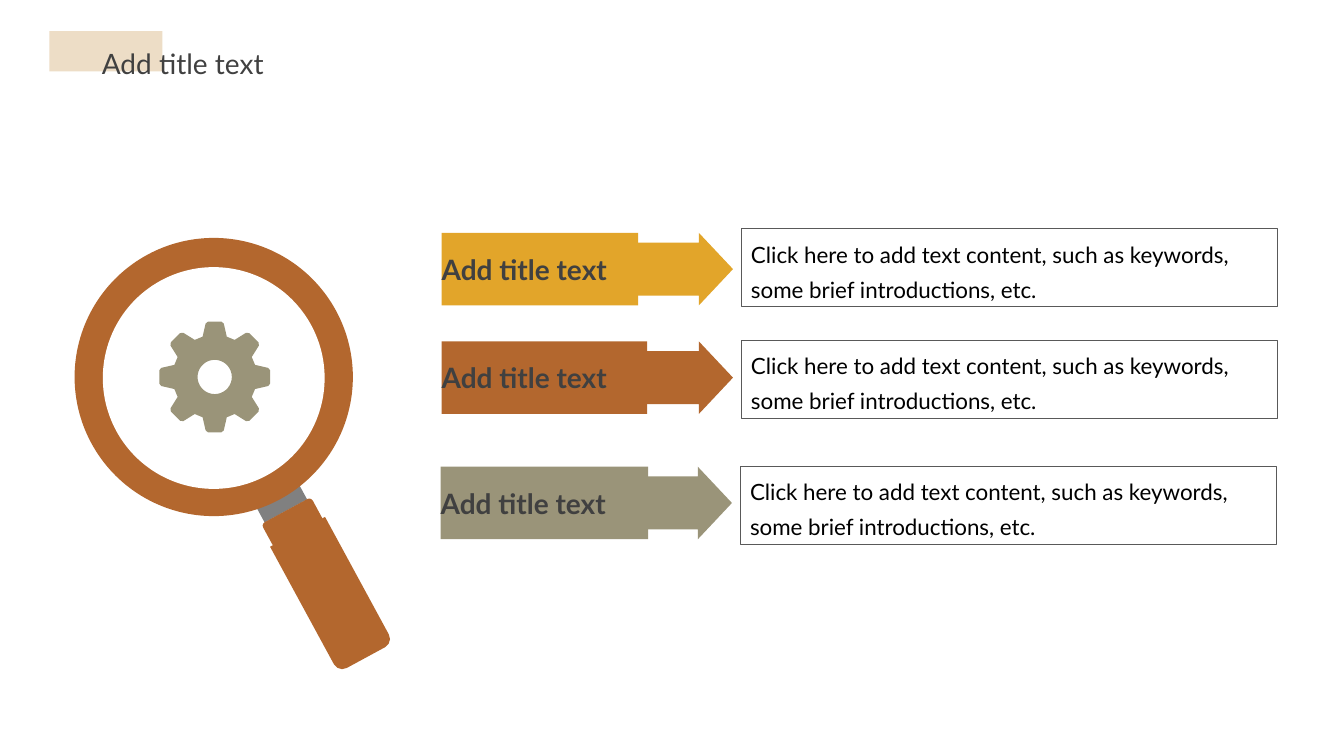
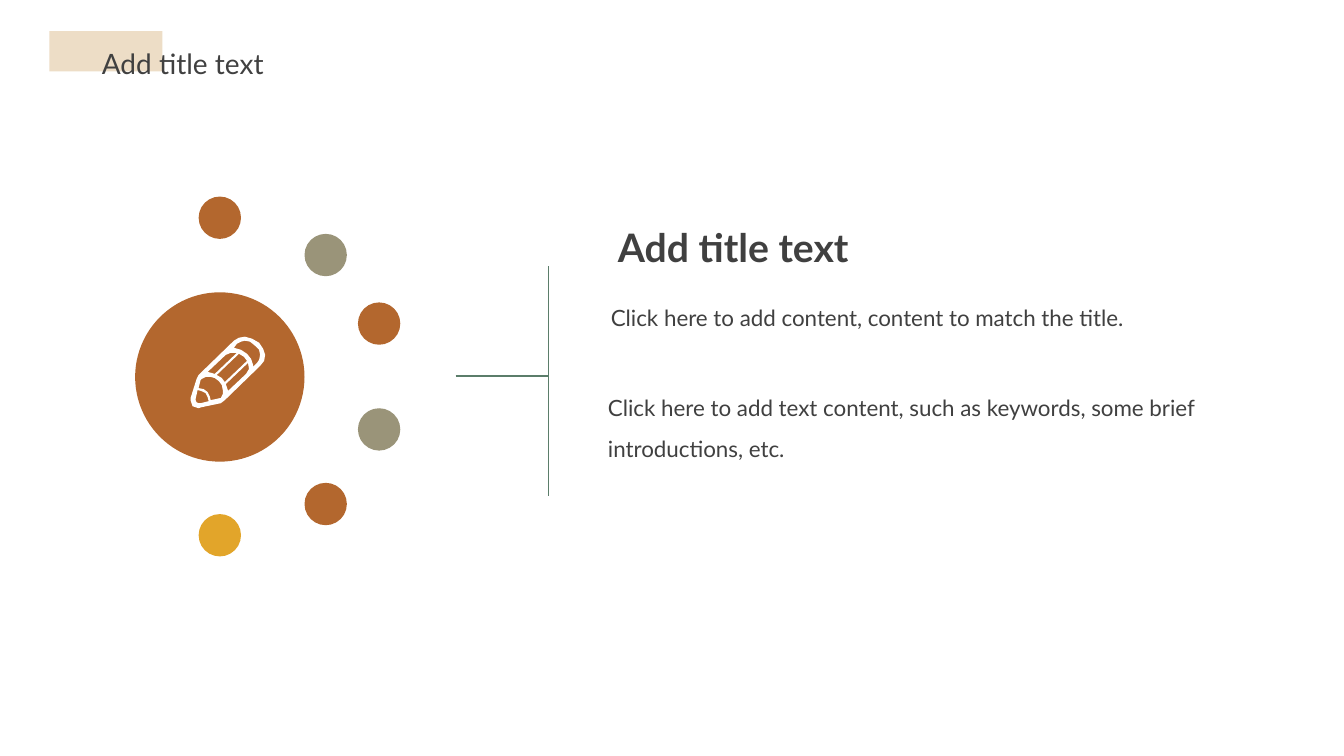
"""Build two slides: a magnifier with three labelled arrows, and a pencil with a ring of dots."""
import math

from lxml import etree
from pptx import Presentation
from pptx import util as u
from pptx.dml.color import RGBColor
from pptx.enum import shapes, text
from pptx.oxml import ns

FONT = "Lato"
GOLD, RUST, OLIVE, SAND = "E2A52A", "B3672E", "9A9479", "EDDDC6"
WHITE, BLACK, GREY, INK, FRAME, GREEN = "FFFFFF", "000000", "808080", "404040", "595959", "5B7D6A"
TITLE = "Add title text"
BODY = "Click here to add text content, such as keywords, some brief introductions, etc."
KIND = shapes.MSO_SHAPE

presentation = Presentation()
presentation.slide_width = u.Inches(13.33)
presentation.slide_height = u.Inches(7.5)
cell = presentation.slide_height / 22.5


def block(slide, kind, box, fill=None, line=None, rotation=0):
    """Add a preset shape, or a text box when kind is None, measured in grid cells."""
    place = [round(value * cell) for value in box]
    if kind is None:
        return slide.shapes.add_textbox(*place)
    shape = slide.shapes.add_shape(kind, *place)
    shape.shadow.inherit = False
    shape.rotation = rotation
    if fill:
        shape.fill.solid()
        shape.fill.fore_color.rgb = RGBColor.from_string(fill)
    else:
        shape.fill.background()
    if line:
        shape.line.color.rgb = RGBColor.from_string(line)
        shape.line.width = u.Pt(0.75)
    else:
        shape.line.fill.background()
    return shape


def write(shape, content, size, colour=INK, bold=False, spacing=1.0, inset=True,
          anchor=text.MSO_ANCHOR.TOP, align=text.PP_ALIGN.LEFT):
    """Fill a shape with one formatted paragraph."""
    frame = shape.text_frame
    frame.text = content
    frame.word_wrap = True
    frame.auto_size = text.MSO_AUTO_SIZE.NONE
    frame.vertical_anchor = anchor
    if not inset:
        frame.margin_left = frame.margin_right = frame.margin_top = frame.margin_bottom = 0
    paragraph = frame.paragraphs[0]
    paragraph.alignment = align
    paragraph.line_spacing = spacing
    font = paragraph.runs[0].font
    font.name, font.size, font.bold = FONT, u.Pt(size), bold
    font.color.rgb = RGBColor.from_string(colour)


slides = []
for number in range(2):
    slide = presentation.slides.add_slide(presentation.slide_layouts[5])
    band = block(slide, KIND.RECTANGLE, (1.47, 0.93, 3.36, 1.2), SAND)
    slide.shapes._spTree.insert(2, band._element)
    title = slide.shapes.title
    title.left, title.top, title.width, title.height = [
        round(value * cell) for value in (2.73, 0.72, 10.5, 1.65)]
    write(title, TITLE, 20, spacing=1.5, align=text.PP_ALIGN.JUSTIFY)
    slides.append(slide)
search_slide, pencil_slide = slides

for colour, left, top, label_width, box_top in [
    (GOLD, 13.14, 6.93, 5.85, 6.81),
    (RUST, 13.14, 10.16, 6.12, 10.14),
    (OLIVE, 13.11, 13.89, 6.18, 13.89),
]:
    arrow = block(search_slide, KIND.RIGHT_ARROW, (left + 2.88, top, 5.79, 2.16), colour)
    arrow.adjustments[0], arrow.adjustments[1] = 0.73, 0.47
    label = block(search_slide, KIND.RECTANGLE, (left, top, label_width, 2.16), colour)
    write(label, TITLE, 20, bold=True, inset=False, anchor=text.MSO_ANCHOR.MIDDLE)
    box = block(search_slide, KIND.RECTANGLE, (left + 8.91, box_top, 15.96, 2.31), line=FRAME)
    write(box, BODY, 16, BLACK, spacing=1.3, anchor=text.MSO_ANCHOR.MIDDLE)

tilt = 331.5
for kind, box, colour, rotation in [
    (KIND.RECTANGLE, (7.65, 14.67, 1.44, 0.57), GREY, tilt),
    (KIND.OVAL, (2.22, 7.08, 8.28, 8.28), RUST, tilt),
    (KIND.OVAL, (3.06, 7.95, 6.6, 6.6), WHITE, tilt),
    (KIND.ROUND_2_SAME_RECTANGLE, (7.86, 15.15, 1.68, 0.78), RUST, tilt),
    (KIND.ROUND_2_SAME_RECTANGLE, (8.94, 15.57, 1.86, 4.26), RUST, tilt - 180),
]:
    part = block(search_slide, kind, box, colour, rotation=rotation)
    if kind == KIND.ROUND_2_SAME_RECTANGLE:
        part.adjustments[0] = 0.15

block(pencil_slide, KIND.OVAL, (4.02, 8.7, 5.04, 5.04), RUST)
for left, top, colour in [
    (5.91, 5.85, RUST), (9.06, 6.96, OLIVE), (10.65, 9, RUST),
    (10.65, 12.15, OLIVE), (9.06, 14.37, RUST), (5.91, 15.3, GOLD),
]:
    block(pencil_slide, KIND.OVAL, (left, top, 1.26, 1.26), colour)

for ends in [(13.56, 11.19, 16.32, 11.19), (16.32, 7.92, 16.32, 14.76)]:
    connector = pencil_slide.shapes.add_connector(
        shapes.MSO_CONNECTOR.STRAIGHT, *[round(value * cell) for value in ends])
    connector.line.color.rgb = RGBColor.from_string(GREEN)
    connector.line.width = u.Pt(1)
    etree.SubElement(connector._element.spPr, ns.qn("a:effectLst"))

summary = block(pencil_slide, None, (17.88, 8.7, 18.63, 1.23))
write(summary, "Click here to add content, content to match the title.", 16, spacing=1.25)
heading = block(pencil_slide, None, (18.09, 6.51, 8.52, 1.71))
write(heading, TITLE, 28, bold=True)
details = block(pencil_slide, None, (18.09, 11.34, 18.54, 2.91))
write(details, BODY, 16, spacing=1.5, inset=False)

tooth = [(-12, -40), (-9, -53), (-6.5, -55), (6.5, -55), (9, -53), (12, -40)]
gear_edge = []
for step in range(8):
    cosine, sine = math.cos(step * math.pi / 4), math.sin(step * math.pi / 4)
    gear_edge += [(x * cosine - y * sine, x * sine + y * cosine) for x, y in tooth]
gear_hole = [(17 * math.cos(math.radians(angle)), 17 * math.sin(math.radians(angle)))
             for angle in range(0, 360, 10)]

pencil = [
    [(68, 6), (61, 2), (54, 0), (48, 1), (43, 4), (8, 38), (6, 42), (0, 61), (0, 63), (2, 69),
     (8, 71), (11, 70), (30, 66), (34, 63), (69, 29), (73, 24), (74, 18), (72, 12)],
    [(66, 26), (62, 30), (62, 28), (60, 22), (56, 17), (50, 13), (43, 11), (46, 7), (50, 5),
     (54, 4), (59, 5), (64, 9), (68, 13), (69, 18), (68, 23)],
    [(20, 63), (19, 59), (17, 55), (13, 52), (8, 51), (10, 43), (11, 42), (15, 40), (20, 40),
     (24, 41), (28, 44), (31, 48), (32, 53), (32, 57), (30, 61), (29, 61)],
    [(10, 66), (8, 66), (6, 65), (5, 63), (5, 62), (7, 53), (11, 54), (15, 56), (17, 60), (18, 64)],
    [(24, 37), (21, 36), (17, 35), (35, 18), (40, 16), (46, 16)],
    [(34, 45), (31, 41), (26, 38), (48, 17), (53, 20), (56, 24)],
    [(37, 53), (35, 47), (57, 26), (58, 32), (55, 37), (37, 54)],
]

for slide, contours, left, top, colour in [
    (search_slide, [gear_edge, gear_hole], 6.39, 11.22, OLIVE),
    (pencil_slide, pencil, 5.67, 10.02, WHITE),
]:
    builder = None
    for contour in contours:
        points = [(round((left + x * 0.03) * cell), round((top + y * 0.03) * cell))
                  for x, y in contour]
        if builder is None:
            builder = slide.shapes.build_freeform(*points[0])
        else:
            builder.move_to(*points[0])
        builder.add_line_segments(points[1:], close=True)
    icon = builder.convert_to_shape()
    icon.shadow.inherit = False
    icon.fill.solid()
    icon.fill.fore_color.rgb = RGBColor.from_string(colour)
    icon.line.fill.background()

presentation.save("out.pptx")
